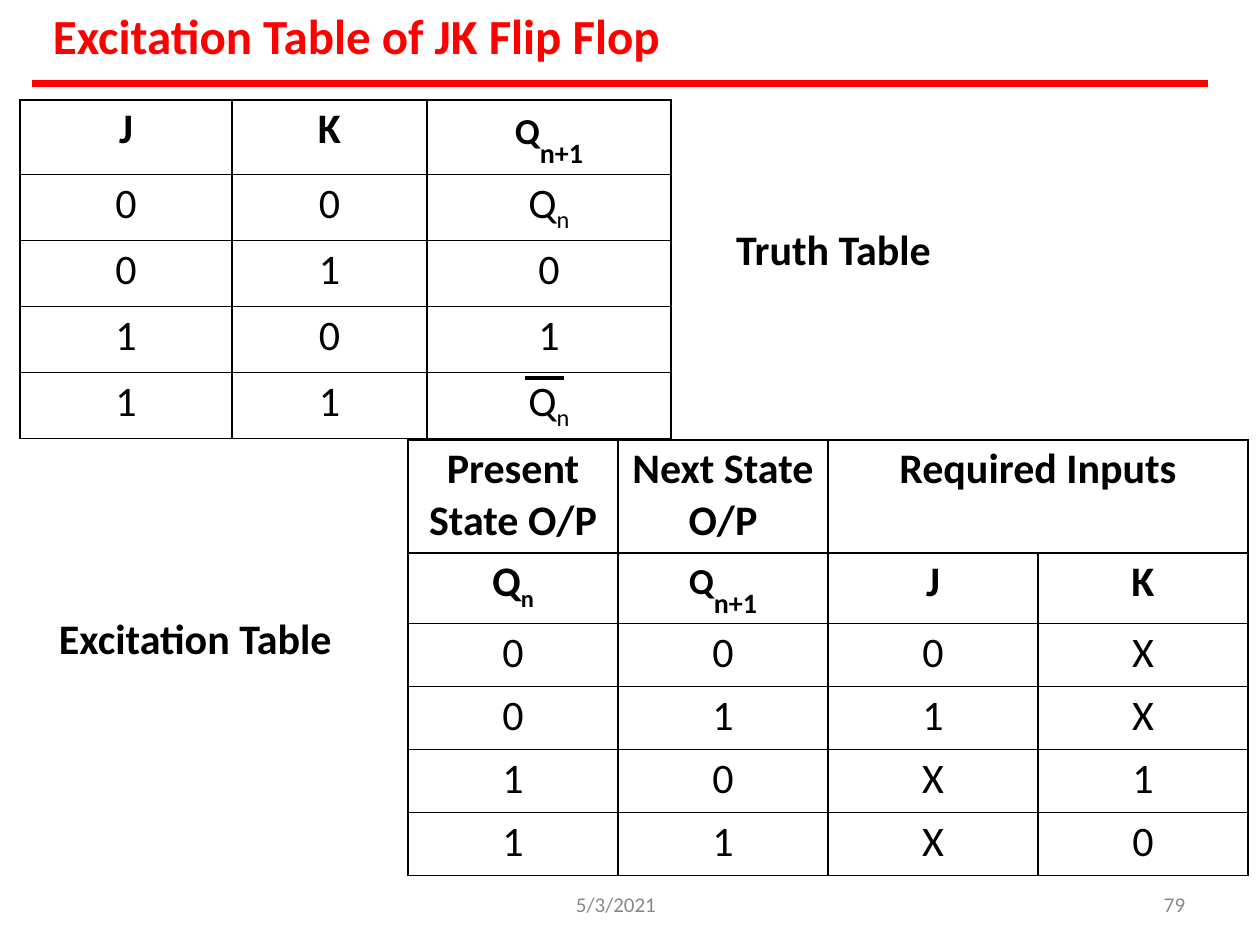
import pptx
import pptx.util
import pptx.dml.color
import pptx.enum.text
import pptx.enum.shapes
import pptx.oxml
import pptx.oxml.ns

RED = pptx.dml.color.RGBColor(0xFF, 0x00, 0x00)
BLACK = pptx.dml.color.RGBColor(0x00, 0x00, 0x00)
GREY = pptx.dml.color.RGBColor(0x88, 0x88, 0x88)
LEFT = pptx.enum.text.PP_ALIGN.LEFT
MID = pptx.enum.text.PP_ALIGN.CENTER
PX = 914400 / 126

TITLE = ("Excitation Table of JK Flip Flop", (53, 4, 624, 63), 28, RED, True)
LABELS = [
    ("Truth Table", (736, 223, 198, 54), 24, BLACK, True),
    ("Excitation Table", (59, 611, 277, 54), 24, BLACK, True),
    ("5/3/2021", (576, 891, 111, 24), 12, GREY, False),
    ("79", (1164, 891, 28, 24), 12, GREY, False),
]
RULES = [((32, 84), (1208, 84), RED, 4), ((525, 378), (564, 378), BLACK, 2.25)]
TABLES = [
    {"at": (20, 100), "cols": [212, 195, 244], "rows": [66] * 5,
     "heads": 1, "lead": 0.8, "spans": [],
     "data": [["J", "K", "Qn+1"], ["0", "0", "Qn"], ["0", "1", "0"],
              ["1", "0", "1"], ["1", "1", "Qn"]]},
    {"at": (408, 440), "cols": [210] * 4, "rows": [113] + [63] * 5,
     "heads": 2, "lead": 0.75, "spans": [((0, 2), (0, 3))],
     "data": [["Present State O/P", "Next State O/P", "Required Inputs", ""],
              ["Qn", "Qn+1", "J", "K"], ["0", "0", "0", "X"],
              ["0", "1", "1", "X"], ["1", "0", "X", "1"],
              ["1", "1", "X", "0"]]},
]
PARTS = {
    "Qn": [("Q", 24, 0), ("n", 24, -25)],
    "Qn+1": [("Q", 36, 30), ("n+1", 16, 0)],
}


def emu(px):
    return round(px * PX)


def put(item, form):
    for name, value in form.items():
        setattr(item, name, value)


def add_run(para, text, size, color, bold, base=0):
    run = para.add_run()
    run.text = text
    put(run.font, {"name": "Calibri", "size": pptx.util.Pt(size), "bold": bold})
    run.font.color.rgb = color
    if base:
        run._r.get_or_add_rPr().set("baseline", str(base * 1000))


def fill_box(box, label):
    text, at, size, color, bold = label
    put(box, dict(zip(("left", "top", "width", "height"), map(emu, at))))
    put(box.text_frame, {
        "word_wrap": True, "margin_left": 0, "margin_right": 0,
        "margin_top": emu(1), "margin_bottom": 0,
        "vertical_anchor": pptx.enum.text.MSO_ANCHOR.TOP,
        "auto_size": pptx.enum.text.MSO_AUTO_SIZE.SHAPE_TO_FIT_TEXT})
    para = box.text_frame.paragraphs[0]
    para.alignment = LEFT
    add_run(para, text, size, color, bold)


def add_edges(cell):
    props = cell._tc.get_or_add_tcPr()
    for side in "LRTB":
        props.append(pptx.oxml.parse_xml(
            f'<a:ln{side} {pptx.oxml.ns.nsdecls("a")} w="12700"><a:solidFill>'
            f'<a:srgbClr val="{BLACK}"/></a:solidFill></a:ln{side}>'))


def fill_cell(cell, text, bold, lead):
    high = text == "Qn+1"
    put(cell, {"margin_left": 0, "margin_right": 0, "margin_bottom": 0,
               "margin_top": emu(14 if high else 4)})
    add_edges(cell)
    cell.fill.background()
    para = cell.text_frame.paragraphs[0]
    para.alignment = MID
    if high:
        para.line_spacing = lead
    if text:
        for part, size, base in PARTS.get(text, [(text, 24, 0)]):
            add_run(para, part, size, BLACK, bold, base)


def add_grid(slide, grid):
    cols, rows = grid["cols"], grid["rows"]
    place = map(emu, (*grid["at"], sum(cols), sum(rows)))
    table = slide.shapes.add_table(len(rows), len(cols), *place).table
    put(table, {"first_row": False, "horz_banding": False})
    for col, wide in zip(table.columns, cols):
        col.width = emu(wide)
    for row, tall in zip(table.rows, rows):
        row.height = emu(tall)
    for r, line in enumerate(grid["data"]):
        for c, text in enumerate(line):
            fill_cell(table.cell(r, c), text, r < grid["heads"], grid["lead"])
    for start, end in grid["spans"]:
        table.cell(*start).merge(table.cell(*end))


def add_rule(slide, start, end, color, width):
    rule = slide.shapes.add_connector(
        pptx.enum.shapes.MSO_CONNECTOR.STRAIGHT, *map(emu, start + end))
    rule.line.color.rgb = color
    rule.line.width = pptx.util.Pt(width)
    rule._element.spPr.append(pptx.oxml.parse_xml(
        f'<a:effectLst {pptx.oxml.ns.nsdecls("a")}/>'))


def main():
    deck = pptx.Presentation()
    put(deck, {"slide_width": emu(1260), "slide_height": emu(945)})
    slide = deck.slides.add_slide(deck.slide_layouts[5])
    fill_box(slide.shapes.title, TITLE)
    for grid in TABLES:
        add_grid(slide, grid)
    for label in LABELS:
        fill_box(slide.shapes.add_textbox(0, 0, 0, 0), label)
    for rule in RULES:
        add_rule(slide, *rule)
    deck.save("out.pptx")


if __name__ == "__main__":
    main()
